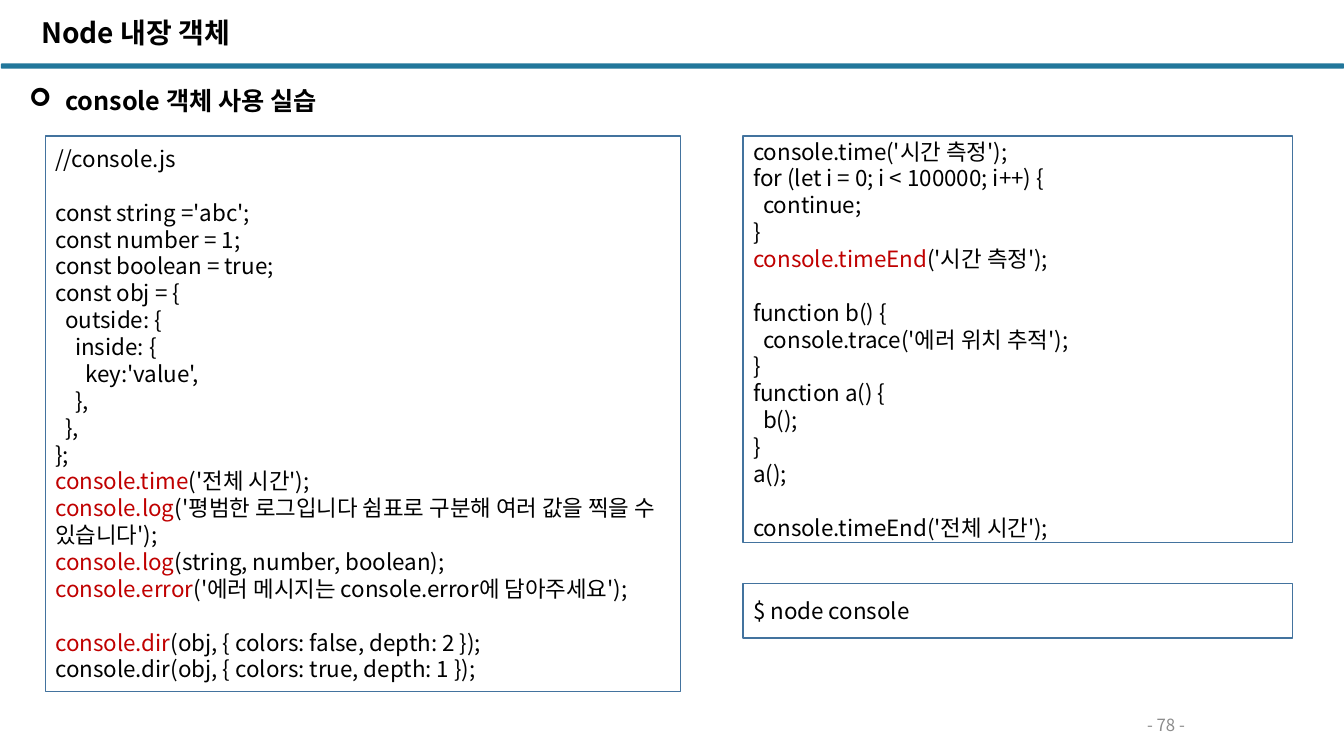
from lxml.etree import SubElement
from pptx import Presentation
from pptx.dml.color import RGBColor
from pptx.enum.shapes import MSO_SHAPE as Shape
from pptx.enum.text import MSO_ANCHOR as Anchor, PP_ALIGN as Align
from pptx.oxml.ns import qn
from pptx.util import Inches, Pt

FONT = "Noto Sans CJK KR"
BLACK = RGBColor(0x00, 0x00, 0x00)
RED = RGBColor(0xC0, 0x00, 0x00)
GRAY = RGBColor(0x8C, 0x8C, 0x8C)
TEAL = RGBColor(0x22, 0x77, 0x9B)
BLUE = RGBColor(0x43, 0x73, 0x9E)

CODE_SIZE = 16
LINE_RATIO = 1.2
MARK = "|"

BASICS_CODE = """//console.js

const string ='abc';
const number = 1;
const boolean = true;
const obj = {
  outside: {
    inside: {
      key:'value',
    },
  },
};
console.time|('전체 시간');
console.log|('평범한 로그입니다 쉼표로 구분해 여러 값을 찍을 수 있습니다');
console.log|(string, number, boolean);
console.error|('에러 메시지는 console.error에 담아주세요');

console.dir|(obj, { colors: false, depth: 2 });
console.dir(obj, { colors: true, depth: 1 });"""

TIMING_CODE = """console.time('시간 측정');
for (let i = 0; i < 100000; i++) {
  continue;
}
console.timeEnd|('시간 측정');

function b() {
  console.trace('에러 위치 추적');
}
function a() {
  b();
}
a();

console.timeEnd('전체 시간');"""

RUN_COMMAND = "$ node console"


def apply_format(target, values):
    for name, value in values.items():
        setattr(target, name, value)


def add_span(para, text, size, color=BLACK, bold=False):
    span = para.add_run()
    span.text = text
    apply_format(span.font, {"name": FONT, "size": Pt(size), "bold": bold})
    span.font.color.rgb = color
    SubElement(span.font._element, qn("a:ea"), typeface=FONT)


def add_label(page, place, text, size, color=BLACK, bold=False,
              align=Align.LEFT, anchor=Anchor.TOP, line_ratio=LINE_RATIO):
    box = page.shapes.add_textbox(*map(Inches, place))
    apply_format(box.text_frame, {"word_wrap": True, "vertical_anchor": anchor})
    para = box.text_frame.paragraphs[0]
    apply_format(para, {"alignment": align, "line_spacing": Pt(size * line_ratio)})
    add_span(para, text, size, color, bold)
    return para


def add_bullet(para, symbol, indent):
    props = para._p.get_or_add_pPr()
    props.set("marL", str(Inches(indent)))
    props.set("indent", str(-Inches(indent)))
    SubElement(props, qn("a:buFont"), typeface="Wingdings")
    SubElement(props, qn("a:buChar"), char=symbol)


def add_rule(page):
    rule = page.shapes.add_shape(
        Shape.ROUNDED_RECTANGLE, *map(Inches, (0.01, 0.63, 13.32, 0.05)))
    rule.shadow.inherit = False
    rule.adjustments[0] = 0.13
    rule.fill.solid()
    rule.fill.fore_color.rgb = TEAL
    rule.line.fill.background()


def add_code_box(page, place, code):
    box = page.shapes.add_shape(Shape.RECTANGLE, *map(Inches, place))
    box.shadow.inherit = False
    box.fill.background()
    box.line.color.rgb = BLUE
    box.line.width = Pt(1)
    frame = box.text_frame
    apply_format(frame, {"word_wrap": True, "vertical_anchor": Anchor.MIDDLE})
    pitch = Pt(CODE_SIZE * LINE_RATIO)
    for block_index, block in enumerate(code.split("\n\n")):
        for line_index, line in enumerate(block.split("\n")):
            first = block_index == line_index == 0
            para = frame.paragraphs[0] if first else frame.add_paragraph()
            gap = pitch if block_index and not line_index else Pt(0)
            apply_format(para, {"alignment": Align.LEFT, "line_spacing": pitch,
                                "space_before": gap})
            call, mark, rest = line.partition(MARK)
            add_span(para, call, CODE_SIZE, RED if mark else BLACK)
            if rest:
                add_span(para, rest, CODE_SIZE)


def main():
    deck = Presentation()
    apply_format(deck, {"slide_width": Inches(13.33), "slide_height": Inches(7.5)})
    page = deck.slides.add_slide(deck.slide_layouts[6])

    add_rule(page)
    add_label(page, (10.01, 7.08, 3.11, 0.23), "- 78 -", 12, GRAY,
              align=Align.CENTER, anchor=Anchor.MIDDLE)
    heading = add_label(page, (0.19, 0.8, 12.64, 0.4), "console 객체 사용 실습", 18, bold=True)
    add_bullet(heading, "➢", 0.36)
    add_label(page, (0.31, 0.16, 7.9, 0.47), "Node 내장 객체", 20, bold=True, line_ratio=1)

    add_code_box(page, (0.45, 1.35, 6.3, 5.51), BASICS_CODE)
    add_code_box(page, (7.37, 1.35, 5.45, 4.03), TIMING_CODE)
    add_code_box(page, (7.37, 5.79, 5.45, 0.54), RUN_COMMAND)

    deck.save("out.pptx")


if __name__ == "__main__":
    main()
